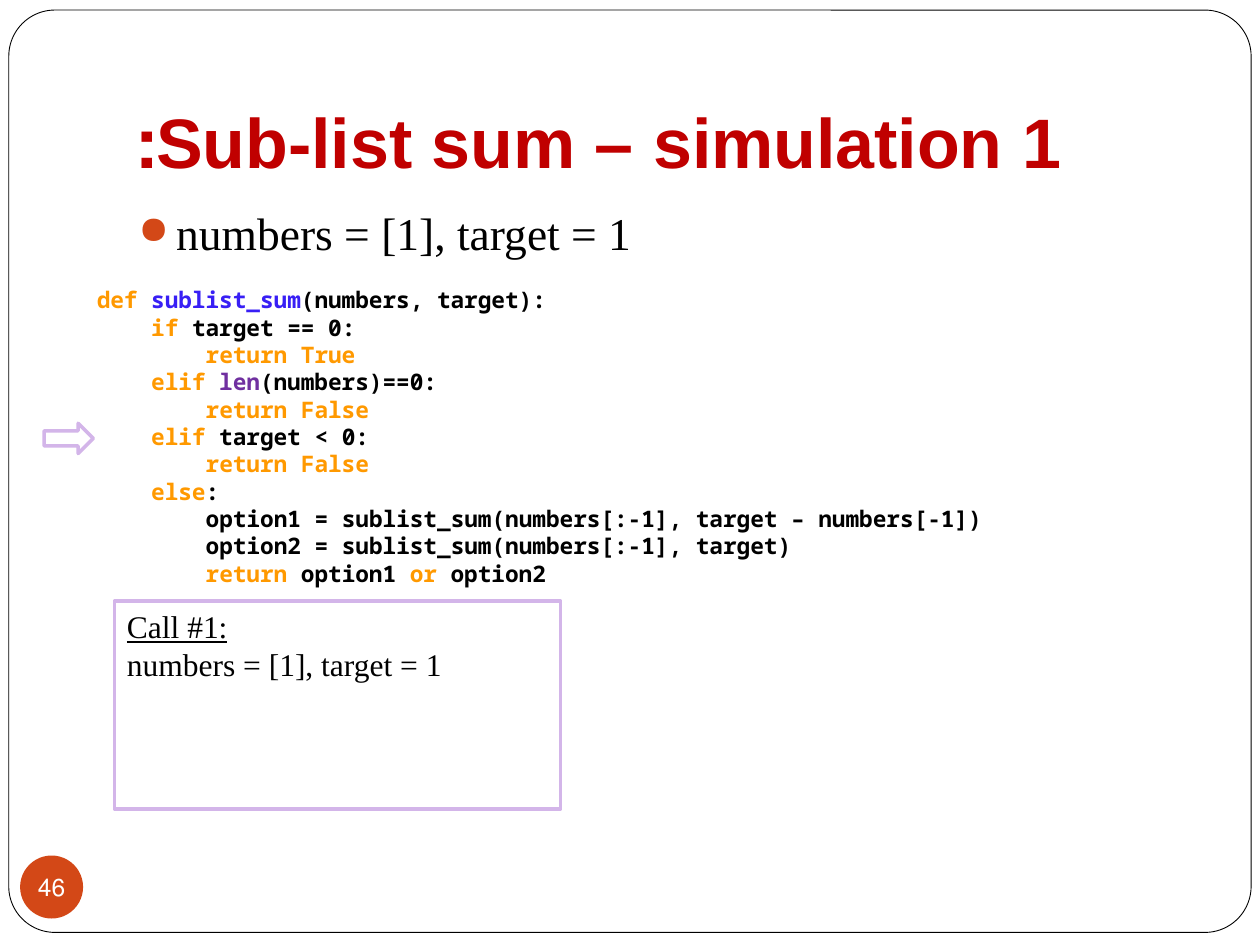
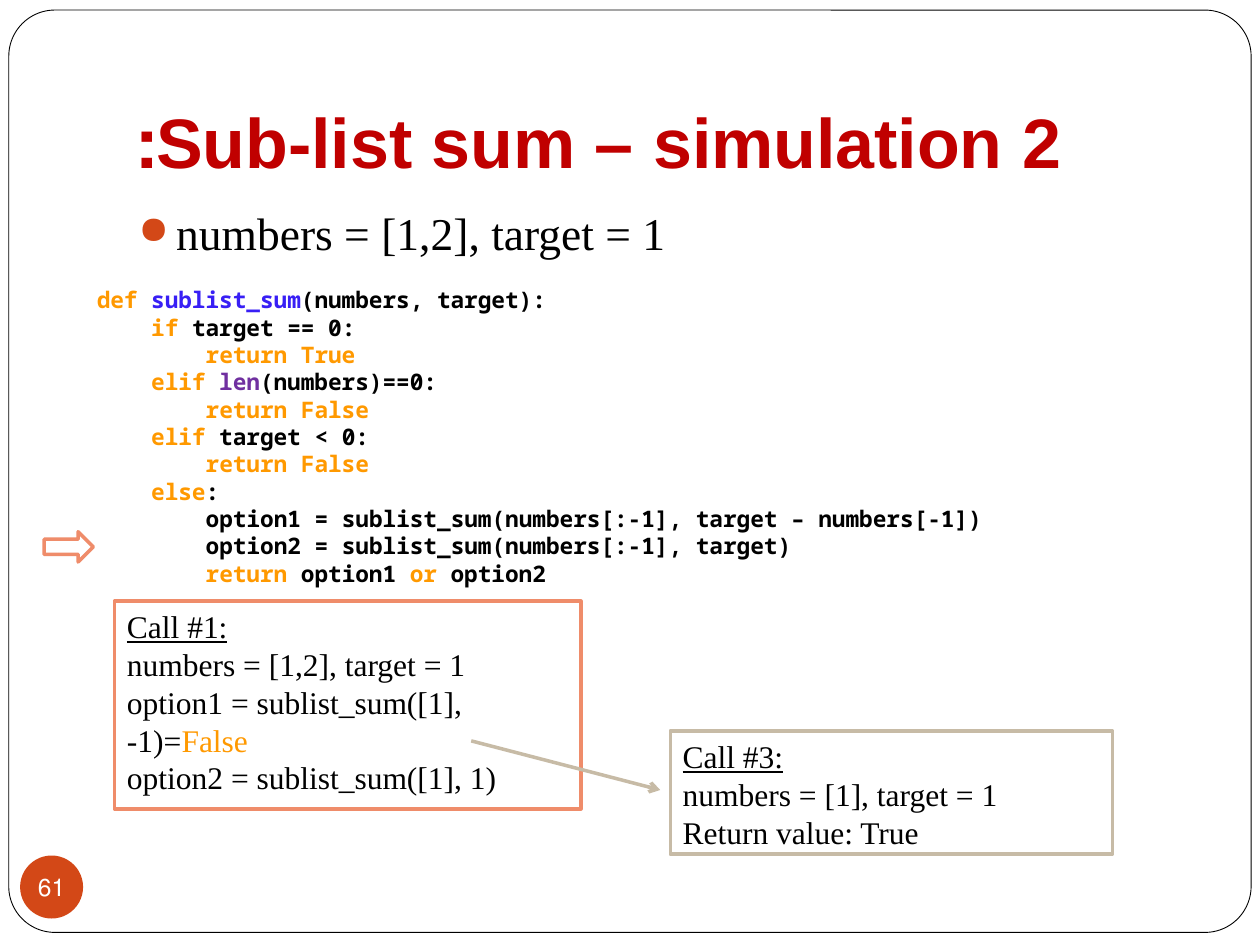
import itertools

import pptx
import pptx.util
import pptx.dml.color
import pptx.enum.dml
import pptx.enum.shapes
import pptx.enum.text
import pptx.oxml.ns
from lxml import etree

Inches = pptx.util.Inches
Pt = pptx.util.Pt
RGBColor = pptx.dml.color.RGBColor
MSO_SHAPE = pptx.enum.shapes.MSO_SHAPE
PP_ALIGN = pptx.enum.text.PP_ALIGN
MSO_ANCHOR = pptx.enum.text.MSO_ANCHOR
MSO_AUTO_SIZE = pptx.enum.text.MSO_AUTO_SIZE

WHITE = RGBColor(0xFF, 0xFF, 0xFF)
BLACK = RGBColor(0x00, 0x00, 0x00)
RED = RGBColor(0xC0, 0x00, 0x00)
RUST = RGBColor(0xD3, 0x48, 0x17)
ORANGE = RGBColor(0xFF, 0x99, 0x00)
BLUE = RGBColor(0x38, 0x1F, 0xF5)
PURPLE = RGBColor(0x70, 0x30, 0xA0)
LILAC = RGBColor(0xD3, 0xB5, 0xE9)
CORAL = RGBColor(0xEF, 0x8C, 0x6A)
SAND = RGBColor(0xC7, 0xBB, 0xA6)

TITLE_FONT = dict(name="Arial", size=Pt(40), bold=True)
NUMBER_FONT = dict(name="Karla", size=Pt(14))
BULLET_FONT = dict(name="Times New Roman", size=Pt(26))
CODE_FONT = dict(name="Noto Sans Mono", size=Pt(13), bold=True)
CALL_FONT = dict(name="Times New Roman", size=Pt(18))

CODE = """\
def sublist_sum(numbers, target):
    if target == 0:
        return True
    elif len(numbers)==0:
        return False
    elif target < 0:
        return False
    else:
        option1 = sublist_sum(numbers[:-1], target – numbers[-1])
        option2 = sublist_sum(numbers[:-1], target)
        return option1 or option2""".splitlines()
WORD_COLORS = dict.fromkeys(
    ["def", "if", "elif", "else", "return", "or", "True", "False"], ORANGE)
WORD_COLORS["len"] = PURPLE

FIRST_ARROW_TOP = 2.285
CODE_PITCH = 0.215

SIMULATIONS = [
    dict(
        title="Sub-list sum – simulation 1:",
        number="46",
        given="numbers = [1], target = 1",
        current_line=5,
        current_color=LILAC,
        calls=[
            dict(box=(0.91, 4.77, 3.54, 1.65), color=LILAC, heading="Call #1:",
                 steps=[[("numbers = [1], target = 1", BLACK)]]),
        ],
        links=[],
    ),
    dict(
        title="Sub-list sum – simulation 2:",
        number="61",
        given="numbers = [1,2], target = 1",
        current_line=9,
        current_color=CORAL,
        calls=[
            dict(box=(5.32, 5.8, 3.51, 0.98), color=SAND, heading="Call #3:",
                 steps=[[("numbers = [1], target = 1", BLACK)],
                        [("Return value: True", BLACK)]]),
            dict(box=(0.91, 4.77, 3.7, 1.65), color=CORAL, heading="Call #1:",
                 steps=[[("numbers = [1,2], target = 1", BLACK)],
                        [("option1 = sublist_sum([1], -1)=", BLACK),
                         ("False", ORANGE)],
                        [("option2 = sublist_sum([1], 1)", BLACK)]]),
        ],
        links=[dict(ends=(3.74, 5.88, 5.24, 6.27), color=SAND)],
    ),
]


def inches(values):
    return [Inches(value) for value in values]


def set_values(target, values):
    for key, value in values.items():
        setattr(target, key, value)


def add_run(paragraph, text, color, font, **extra):
    run = paragraph.add_run()
    run.text = text
    set_values(run.font, {**font, **extra})
    run.font.color.rgb = color


def next_paragraph(frame, index):
    return frame.add_paragraph() if index else frame.paragraphs[0]


def set_right_to_left(paragraph, alignment):
    paragraph.alignment = alignment
    paragraph._p.get_or_add_pPr().set("rtl", "1")


def add_outline(slide, kind, box, fill=None, line=None, width=2):
    shape = slide.shapes.add_shape(kind, *inches(box))
    shape.shadow.inherit = False
    if fill is None:
        shape.fill.background()
    else:
        shape.fill.solid()
        shape.fill.fore_color.rgb = fill
    if line is None:
        shape.line.fill.background()
    else:
        shape.line.color.rgb = line
        shape.line.width = Pt(width)
    return shape


def add_textbox(slide, box, auto_size):
    frame = slide.shapes.add_textbox(*inches(box)).text_frame
    set_values(frame, dict(word_wrap=True, auto_size=auto_size))
    return frame


def add_page(slide, title, number):
    border = add_outline(slide, MSO_SHAPE.ROUNDED_RECTANGLE,
                         (0.07, 0.08, 9.86, 7.32), WHITE, BLACK, 0.5)
    border.adjustments[0] = 0.05
    slide.shapes._spTree.insert(2, border._element)

    heading = slide.shapes.title
    set_values(heading, dict(zip(("left", "top", "width", "height"),
                                 inches((1, 0.3, 8.5, 1.25)))))
    set_values(heading.text_frame, dict(
        vertical_anchor=MSO_ANCHOR.BOTTOM, word_wrap=True,
        auto_size=MSO_AUTO_SIZE.NONE, margin_bottom=Inches(0.1)))
    paragraph = heading.text_frame.paragraphs[0]
    set_right_to_left(paragraph, PP_ALIGN.LEFT)
    add_run(paragraph, title, RED, TITLE_FONT)

    badge = add_outline(slide, MSO_SHAPE.OVAL, (0.16, 6.79, 0.5, 0.5), RUST)
    set_values(badge.text_frame, dict(
        margin_left=0, margin_right=0, margin_top=0, margin_bottom=0,
        word_wrap=False, vertical_anchor=MSO_ANCHOR.MIDDLE))
    paragraph = badge.text_frame.paragraphs[0]
    set_right_to_left(paragraph, PP_ALIGN.CENTER)
    add_run(paragraph, number, WHITE, NUMBER_FONT)


def add_given(slide, text):
    frame = add_textbox(slide, (1, 1.58, 8.5, 5), MSO_AUTO_SIZE.NONE)
    paragraph = frame.paragraphs[0]
    paragraph.space_before = Pt(5.8)
    add_run(paragraph, text, BLACK, BULLET_FONT)
    properties = paragraph._p.get_or_add_pPr()
    properties.set("marL", str(Inches(0.3)))
    properties.set("indent", str(-Inches(0.3)))
    qn = pptx.oxml.ns.qn
    color = etree.SubElement(properties, qn("a:buClr"))
    etree.SubElement(color, qn("a:srgbClr"), val=str(RUST))
    etree.SubElement(properties, qn("a:buSzPct"), val="85000")
    etree.SubElement(properties, qn("a:buChar"), char="●")


def add_code(slide):
    frame = add_textbox(slide, (0.67, 2.22, 7.4, 2.51),
                        MSO_AUTO_SIZE.SHAPE_TO_FIT_TEXT)
    for index, line in enumerate(CODE):
        paragraph = next_paragraph(frame, index)
        colors = dict(WORD_COLORS)
        if line.startswith("def "):
            colors["sublist_sum"] = BLUE
        words = itertools.groupby(line, lambda c: c.isalnum() or c == "_")
        pieces = ["".join(letters) for _, letters in words]
        colored = [(piece, colors.get(piece, BLACK)) for piece in pieces]
        for color, group in itertools.groupby(colored, lambda item: item[1]):
            add_run(paragraph, "".join(piece for piece, _ in group),
                    color, CODE_FONT)


def add_call(slide, box, color, heading, steps):
    call = add_outline(slide, MSO_SHAPE.RECTANGLE, box, line=color)
    frame = call.text_frame
    set_values(frame, dict(word_wrap=True, vertical_anchor=MSO_ANCHOR.TOP))
    for index, pieces in enumerate([[(heading, BLACK)]] + steps):
        paragraph = next_paragraph(frame, index)
        paragraph.alignment = PP_ALIGN.LEFT
        for text, text_color in pieces:
            add_run(paragraph, text, text_color, CALL_FONT,
                    underline=index == 0)


def add_link(slide, ends, color):
    link = slide.shapes.add_connector(
        pptx.enum.shapes.MSO_CONNECTOR.STRAIGHT, *inches(ends))
    link.line.color.rgb = color
    link.line.width = Pt(2)
    qn = pptx.oxml.ns.qn
    etree.SubElement(link.line._get_or_add_ln(), qn("a:tailEnd"), type="arrow")
    etree.SubElement(link._element.spPr, qn("a:effectLst"))


def main():
    deck = pptx.Presentation()
    deck.slide_width, deck.slide_height = Inches(10), Inches(7.5)
    for simulation in SIMULATIONS:
        slide = deck.slides.add_slide(deck.slide_layouts[5])
        add_page(slide, simulation["title"], simulation["number"])
        add_given(slide, simulation["given"])
        arrow_top = FIRST_ARROW_TOP + CODE_PITCH * simulation["current_line"]
        add_outline(slide, MSO_SHAPE.RIGHT_ARROW, (0.35, arrow_top, 0.39, 0.24),
                    line=simulation["current_color"])
        for call in simulation["calls"]:
            add_call(slide, **call)
        for link in simulation["links"]:
            add_link(slide, **link)
        add_code(slide)
    deck.save("out.pptx")


if __name__ == "__main__":
    main()
